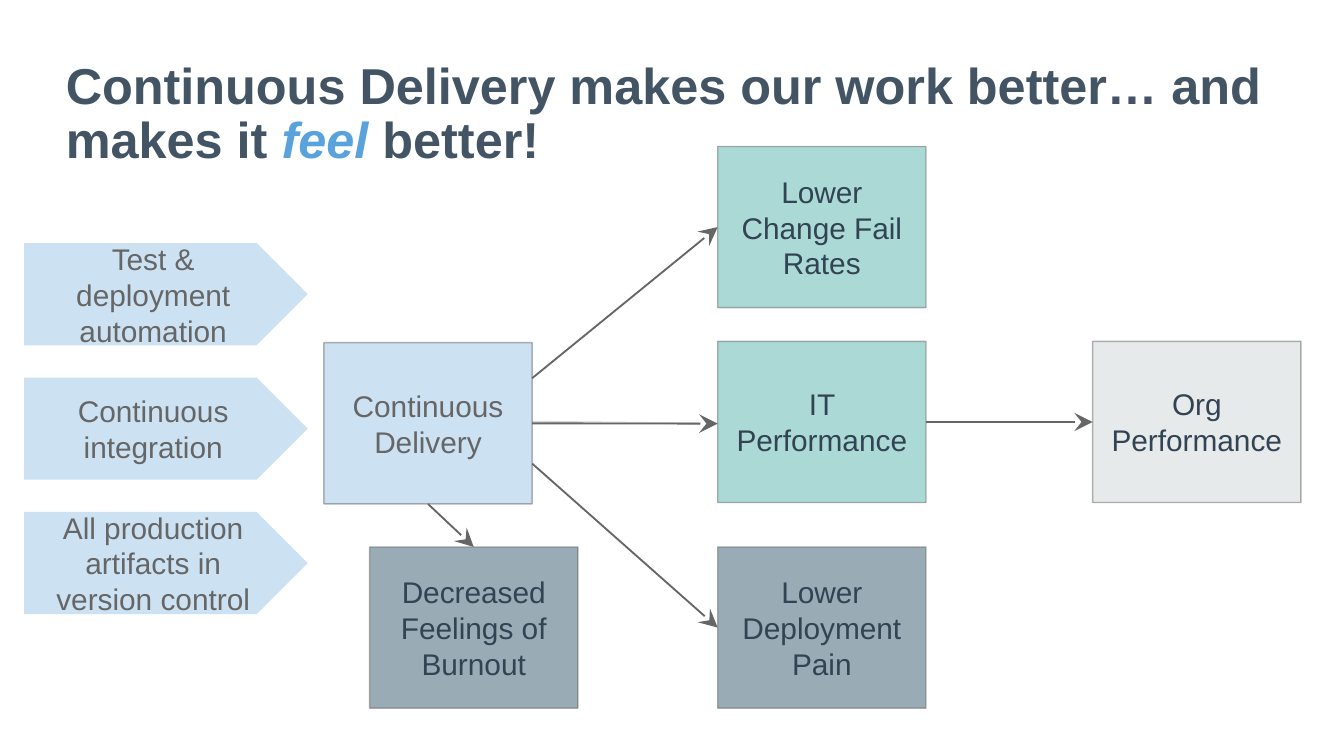
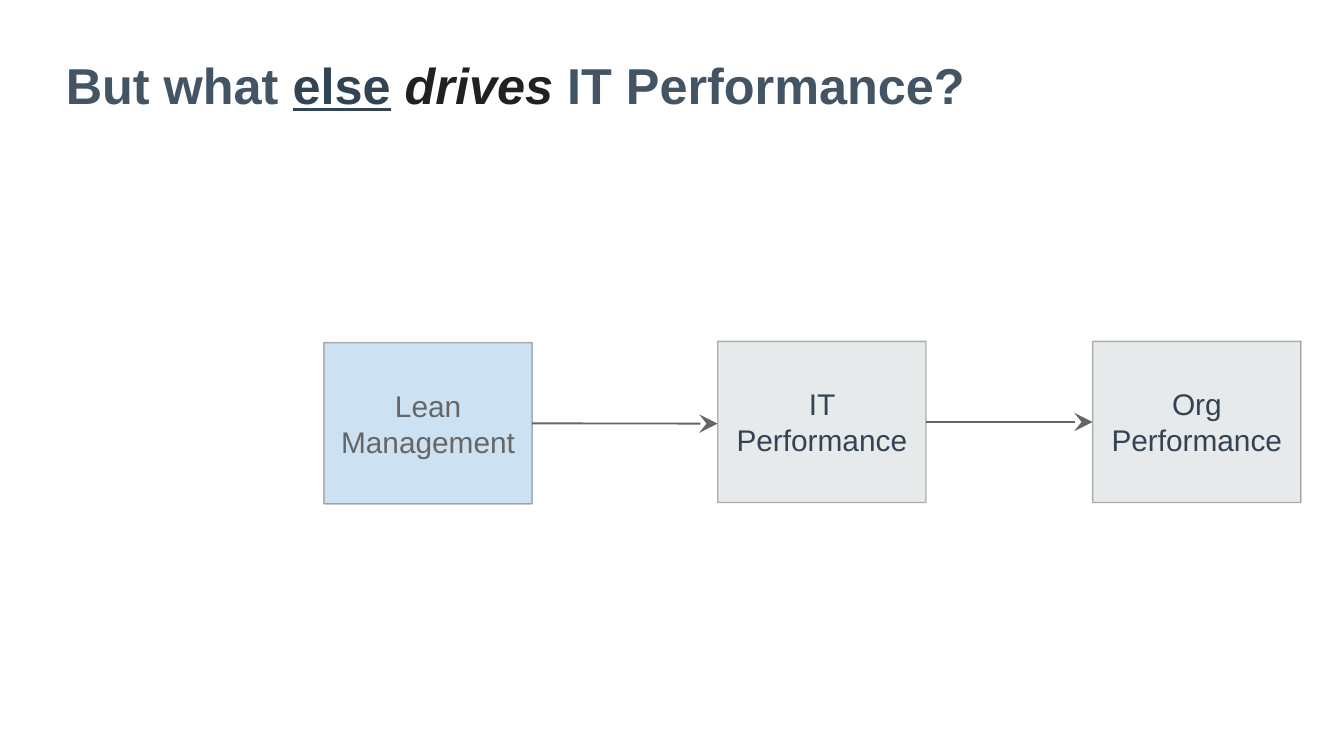
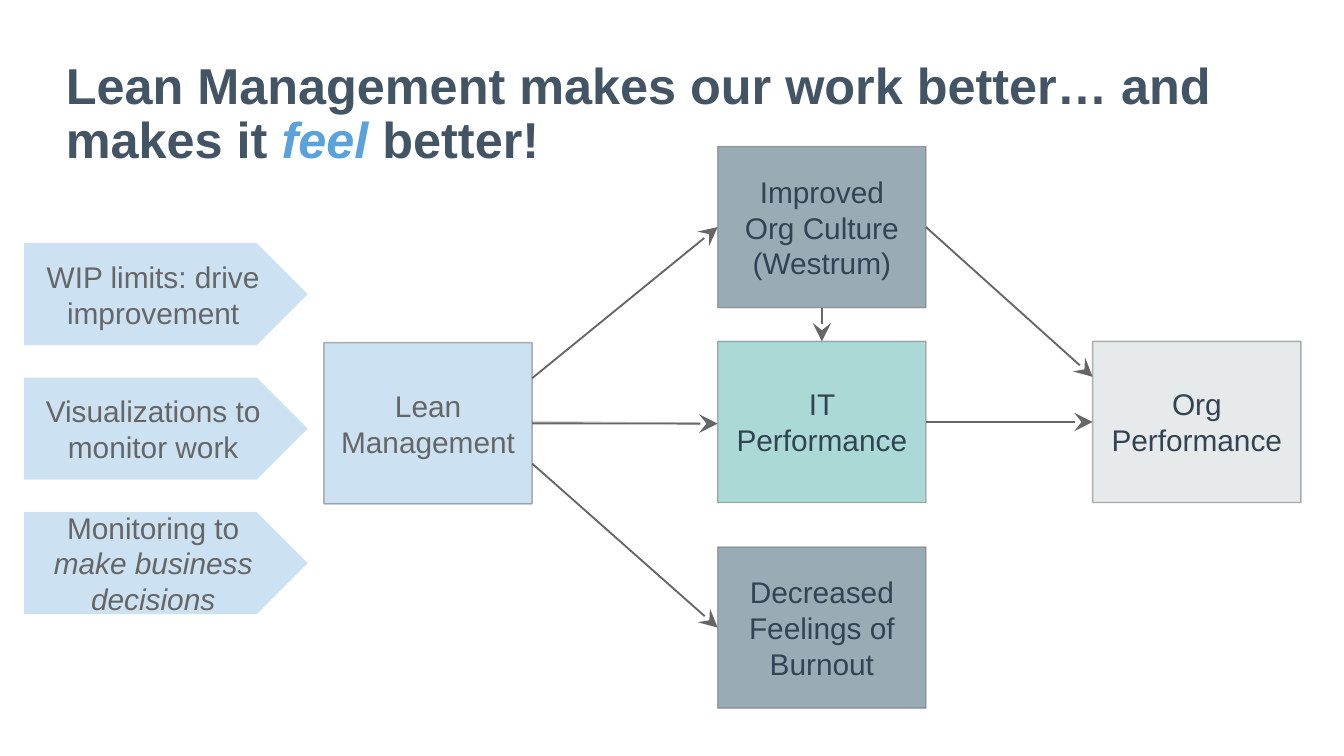
import dataclasses

import pptx
import pptx.dml.color
import pptx.enum.shapes
import pptx.enum.text
import pptx.oxml.ns
import pptx.util

Inches = pptx.util.Inches
SHAPES = pptx.enum.shapes.MSO_SHAPE
ALIGN = pptx.enum.text.PP_ALIGN
ANCHOR = pptx.enum.text.MSO_ANCHOR
qn = pptx.oxml.ns.qn


@dataclasses.dataclass(frozen=True)
class Theme:
    font: str = "Arial"
    title_size: float = 27
    body_size: float = 16
    background: str = "FFFFFF"
    title: str = "435464"
    accent: str = "5AA2DB"
    emphasis: str = "212121"
    dark: str = "324353"
    grey: str = "666666"
    blue: str = "BCD9F0"
    teal: str = "8FCEC9"
    slate: str = "78909C"
    pale: str = "E0E3E4"
    fill_opacity: int = 75
    outline_opacity: int = 50
    faint_opacity: int = 25
    outline_width: float = 0.75
    arrow_width: float = 1


THEME = Theme()


@dataclasses.dataclass(frozen=True)
class Box:
    left: float
    top: float
    width: float
    height: float

    def point(self, across, down):
        return self.left + across * self.width, self.top + down * self.height

    def inches(self):
        return [Inches(value) for value in dataclasses.astuple(self)]


TITLE = Box(0.42, 0.38, 9.17, 0.98)
PRACTICES = Box(0.18, 1.81, 2.11, 2.76)
DRIVER = Box(2.41, 2.55, 1.55, 1.2)
BELOW_DRIVER = Box(2.75, 4.07, 1.55, 1.2)
UPPER, MIDDLE, LOWER = [Box(5.34, top, 1.55, 1.2) for top in (1.09, 2.54, 4.07)]
ORGANIZATION = Box(8.13, 2.54, 1.55, 1.2)


def color(value):
    return pptx.dml.color.RGBColor.from_string(value)


def set_opacity(parent, percent):
    color_element = parent.find(qn("a:solidFill"))[0]
    alpha = color_element.makeelement(qn("a:alpha"), {"val": str(percent * 1000)})
    color_element.append(alpha)


def write_text(frame, paragraphs, *, margins, anchor, align, spacing=None, **base):
    frame.word_wrap = True
    frame.vertical_anchor = anchor
    frame.margin_left = frame.margin_right = Inches(margins[0])
    frame.margin_top = frame.margin_bottom = Inches(margins[1])
    for index, runs in enumerate(paragraphs):
        paragraph = frame.add_paragraph() if index else frame.paragraphs[0]
        paragraph.alignment = align
        paragraph.line_spacing = spacing
        for text, changes in runs:
            style = {**base, **changes}
            run = paragraph.add_run()
            run.text = text
            run.font.name = THEME.font
            run.font.size = pptx.util.Pt(style["size"])
            run.font.color.rgb = color(style["ink"])
            run.font.bold = style.get("bold", False)
            run.font.italic = style.get("italic", False)
            run.font.underline = style.get("underline", False)


def add_title(slide, box, runs):
    shape = slide.shapes.add_textbox(*box.inches())
    write_text(shape.text_frame, [runs], margins=(0.07, 0.07), anchor=ANCHOR.TOP,
               align=ALIGN.LEFT, spacing=0.9, size=THEME.title_size,
               ink=THEME.title, bold=True)


def add_block(slide, box, paragraphs, fill, ink=THEME.dark, kind=SHAPES.RECTANGLE,
              outlined=True):
    if isinstance(paragraphs, str):
        paragraphs = [[(paragraphs, {})]]
    shape = slide.shapes.add_shape(kind, *box.inches())
    shape.shadow.inherit = False
    shape.fill.solid()
    shape.fill.fore_color.rgb = color(fill)
    properties = shape.element.spPr
    set_opacity(properties, THEME.fill_opacity)
    if outlined:
        shape.line.color.rgb = color(THEME.grey)
        shape.line.width = pptx.util.Pt(THEME.outline_width)
        set_opacity(properties.find(qn("a:ln")), THEME.outline_opacity)
    else:
        shape.line.fill.background()
    write_text(shape.text_frame, paragraphs, margins=(0.1, 0.05), anchor=ANCHOR.MIDDLE,
               align=ALIGN.CENTER, size=THEME.body_size, ink=ink)


def add_arrow(slide, start, end, opacity=None):
    connector = slide.shapes.add_connector(
        pptx.enum.shapes.MSO_CONNECTOR.STRAIGHT,
        *[Inches(value) for value in (*start, *end)])
    connector.line.color.rgb = color(THEME.grey)
    connector.line.width = pptx.util.Pt(THEME.arrow_width)
    properties = connector.element.spPr
    line = properties.find(qn("a:ln"))
    if opacity:
        set_opacity(line, opacity)
    line.append(line.makeelement(
        qn("a:tailEnd"), {"type": "stealth", "w": "lg", "len": "lg"}))
    properties.append(properties.makeelement(qn("a:effectLst"), {}))


def add_practices(slide, box, practices):
    height = 0.76
    pitch = (box.height - height) / (len(practices) - 1)
    for index, paragraphs in enumerate(practices):
        tag = Box(box.left, box.top + index * pitch, box.width, height)
        add_block(slide, tag, paragraphs, THEME.blue, THEME.grey,
                  SHAPES.PENTAGON, outlined=False)


def add_performance_chain(slide, driver, performance_fill):
    add_block(slide, DRIVER, driver, THEME.blue, THEME.grey)
    add_block(slide, MIDDLE, "IT Performance", performance_fill)
    add_block(slide, ORGANIZATION, "Org Performance", THEME.pale)
    add_arrow(slide, DRIVER.point(1, 0.5), MIDDLE.point(0, 0.51))
    add_arrow(slide, MIDDLE.point(1, 0.5), ORGANIZATION.point(0, 0.5))


def add_outcomes_slide(slide, driver, practices, upper, upper_fill, lower):
    add_title(slide, TITLE, [
        (f"{driver} makes our work better… and makes it ", {}),
        ("feel ", {"ink": THEME.accent, "italic": True}),
        ("better!", {}),
    ])
    add_practices(slide, PRACTICES, practices)
    add_arrow(slide, DRIVER.point(1, 0.49), MIDDLE.point(0, 0.51), THEME.faint_opacity)
    add_performance_chain(slide, driver, THEME.teal)
    add_block(slide, UPPER, upper, upper_fill)
    add_block(slide, LOWER, lower, THEME.slate)
    add_arrow(slide, DRIVER.point(1, 0.22), UPPER.point(0, 0.5))
    add_arrow(slide, DRIVER.point(1, 0.75), LOWER.point(0, 0.5))


def build_delivery(slide):
    add_outcomes_slide(
        slide, "Continuous Delivery",
        ["Test & deployment automation",
         [[("Continuous", {})], [("integration", {})]],
         "All production artifacts in version control"],
        "Lower Change Fail Rates", THEME.teal, "Lower Deployment Pain")
    add_block(slide, BELOW_DRIVER, "Decreased Feelings of Burnout", THEME.slate)
    add_arrow(slide, DRIVER.point(0.5, 1), BELOW_DRIVER.point(0.5, 0))


def build_question(slide):
    add_title(slide, dataclasses.replace(TITLE, height=0.57), [
        ("But what ", {}),
        ("else", {"ink": THEME.dark, "underline": True}),
        (" ", {"ink": THEME.dark}),
        ("drives ", {"ink": THEME.emphasis, "italic": True}),
        ("IT Performance?", {}),
    ])
    add_performance_chain(slide, "Lean Management", THEME.pale)


def build_lean(slide):
    add_outcomes_slide(
        slide, "Lean Management",
        ["WIP limits: drive improvement",
         "Visualizations to monitor work",
         [[("Monitoring to ", {}), ("make business decisions", {"italic": True})]]],
        "Improved Org Culture (Westrum)", THEME.slate, "Decreased Feelings of Burnout")
    add_arrow(slide, UPPER.point(1, 0.5), ORGANIZATION.point(0, 0.22))
    add_arrow(slide, UPPER.point(0.5, 1), MIDDLE.point(0.5, 0))


def main():
    presentation = pptx.Presentation()
    presentation.slide_width = Inches(10)
    presentation.slide_height = presentation.slide_width * 9 // 16
    for build in (build_delivery, build_question, build_lean):
        slide = presentation.slides.add_slide(presentation.slide_layouts[6])
        slide.background.fill.solid()
        slide.background.fill.fore_color.rgb = color(THEME.background)
        build(slide)
    presentation.save("out.pptx")


if __name__ == "__main__":
    main()
